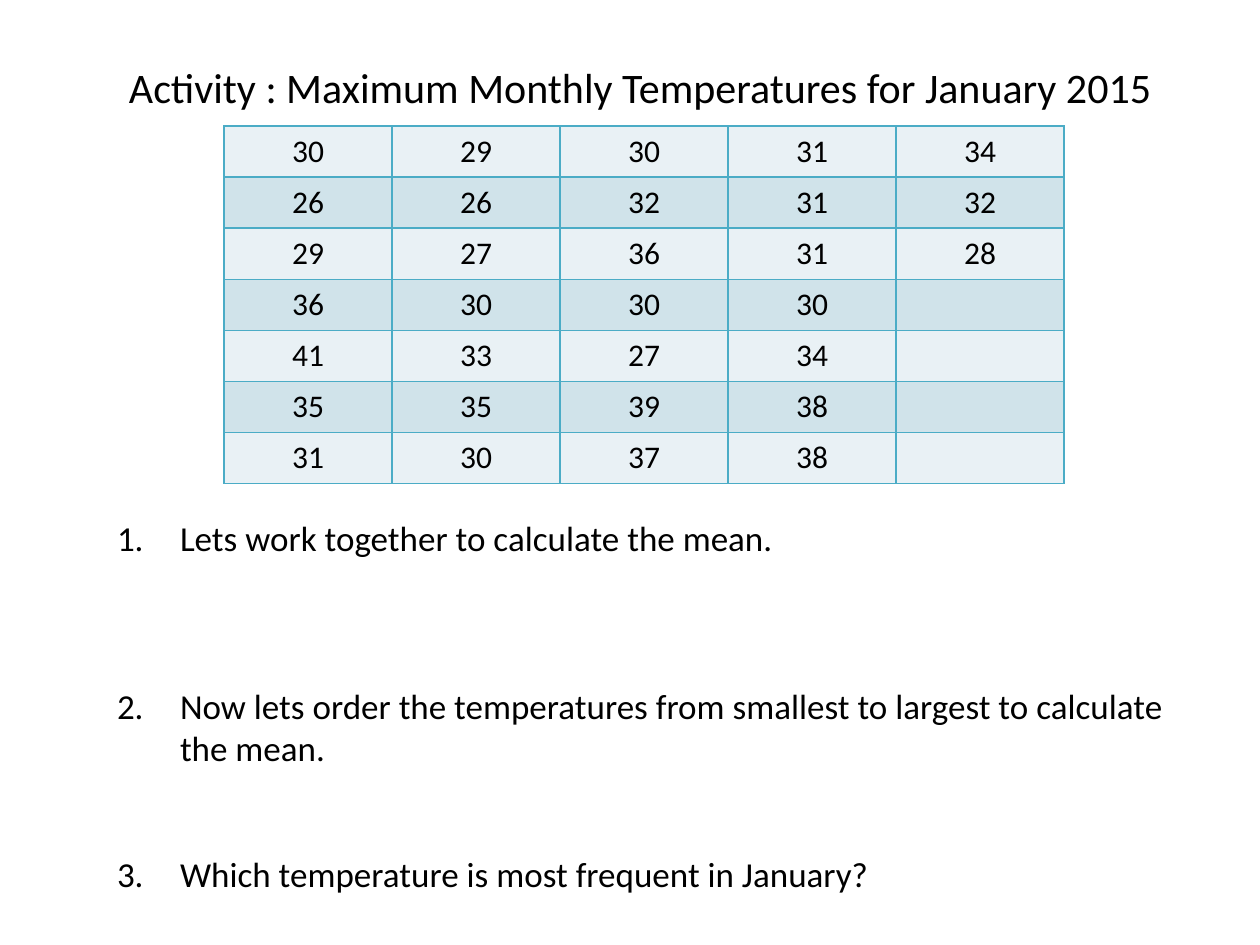
from lxml.etree import SubElement
from pptx import Presentation
from pptx.dml.color import RGBColor
from pptx.enum.text import MSO_ANCHOR, PP_ALIGN
from pptx.oxml.ns import qn
from pptx.util import Cm, Pt

BLACK = RGBColor(0x00, 0x00, 0x00)
TEAL = RGBColor(0x4B, 0xAC, 0xC6)
BANDS = (RGBColor(0xE9, 0xF1, 0xF5), RGBColor(0xD0, 0xE3, 0xEA))
FONT = "Calibri"

TITLE = "Activity : Maximum Monthly Temperatures for January 2015 "
# Each question with the working space above it, in points
QUESTIONS = [
    ("Lets work together to calculate the mean.", 231),
    ("Now lets order the temperatures from smallest to largest to calculate the mean.", 72),
    ("Which temperature is most frequent in January?", 48),
]
TEMPERATURES = [
    (30, 29, 30, 31, 34),
    (26, 26, 32, 31, 32),
    (29, 27, 36, 31, 28),
    (36, 30, 30, 30, ""),
    (41, 33, 27, 34, ""),
    (35, 35, 39, 38, ""),
    (31, 30, 37, 38, ""),
]


def style_paragraph(para, size, align):
    para.alignment = align
    para.font.name = FONT
    para.font.size = Pt(size)
    para.font.color.rgb = BLACK


def number_paragraph(para, indent):
    properties = para._p.get_or_add_pPr()
    properties.set("marL", str(indent))
    properties.set("indent", str(-indent))
    SubElement(properties, qn("a:buFont"), typeface="+mj-lt")
    SubElement(properties, qn("a:buAutoNum"), type="arabicPeriod")


def outline_cell(cell):
    properties = cell._tc.get_or_add_tcPr()
    for side in ("a:lnL", "a:lnR", "a:lnT", "a:lnB"):
        line = SubElement(properties, qn(side), w=str(Pt(1)))
        fill = SubElement(line, qn("a:solidFill"))
        SubElement(fill, qn("a:srgbClr"), val=str(TEAL))


def add_temperature_table(page, left, top, width, height):
    rows, columns = len(TEMPERATURES), len(TEMPERATURES[0])
    table = page.shapes.add_table(rows, columns, left, top, width, height).table
    table.first_row = False
    for row, values in enumerate(TEMPERATURES):
        for column, value in enumerate(values):
            cell = table.cell(row, column)
            outline_cell(cell)
            cell.fill.solid()
            cell.fill.fore_color.rgb = BANDS[row % 2]
            cell.text = str(value)
            style_paragraph(cell.text_frame.paragraphs[0], 18, PP_ALIGN.CENTER)


def add_activity_text(page, left, top, width, height):
    frame = page.shapes.add_textbox(left, top, width, height).text_frame
    frame.word_wrap = True
    frame.vertical_anchor = MSO_ANCHOR.TOP

    # Heading
    heading = frame.paragraphs[0]
    heading.text = TITLE
    style_paragraph(heading, 24, PP_ALIGN.CENTER)

    # Numbered questions
    for question, gap in QUESTIONS:
        para = frame.add_paragraph()
        para.text = question
        para.space_before = Pt(gap)
        number_paragraph(para, Cm(1.27))
        style_paragraph(para, 20, PP_ALIGN.LEFT)


def main():
    deck = Presentation()
    deck.slide_width, deck.slide_height = Cm(25.4), Cm(19.05)
    page = deck.slides.add_slide(deck.slide_layouts[6])
    add_temperature_table(page, Cm(4.52), Cm(2.54), Cm(16.93), Cm(7.2))
    add_activity_text(page, Cm(2.11), Cm(1.12), Cm(21.79), Cm(18.9))
    deck.save("out.pptx")


if __name__ == "__main__":
    main()
